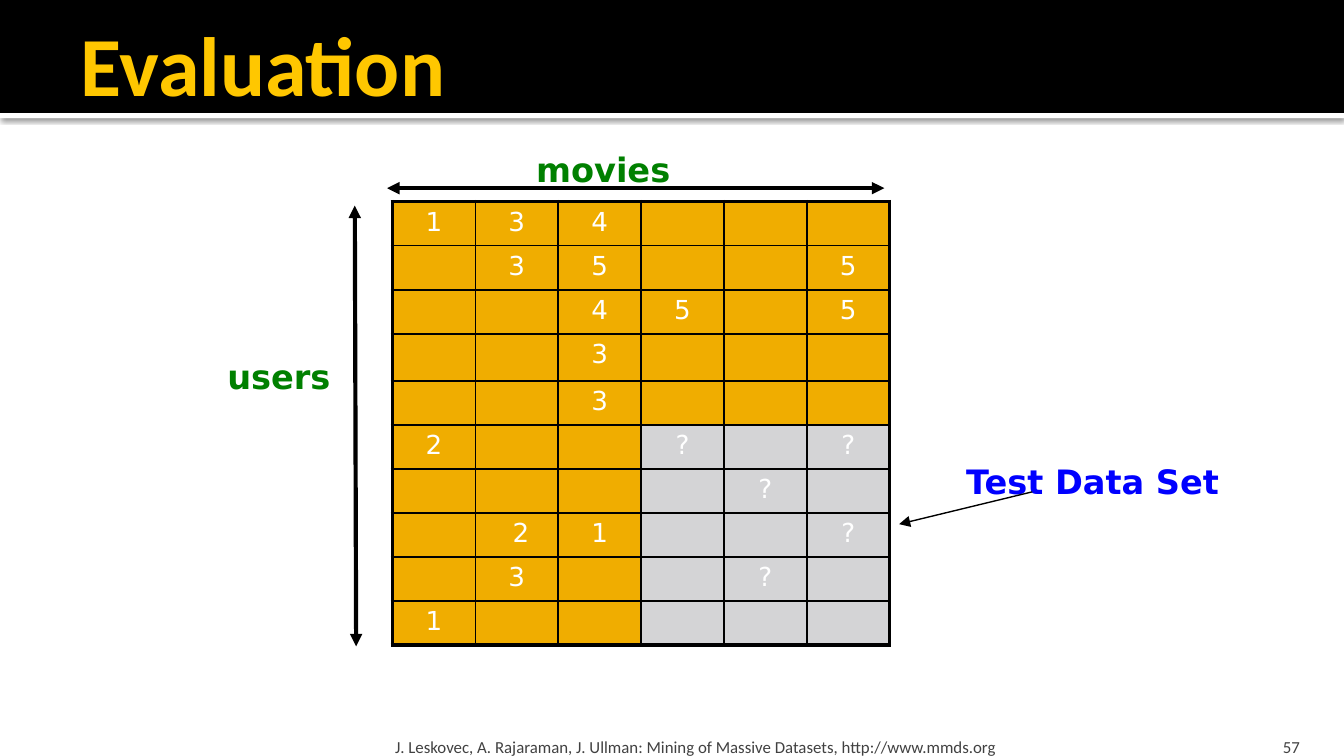
from dataclasses import dataclass

from lxml.etree import SubElement
from pptx import Presentation
from pptx.dml.color import RGBColor
from pptx.enum.shapes import MSO_CONNECTOR, MSO_SHAPE
from pptx.enum.text import MSO_ANCHOR as ANCHOR, MSO_AUTO_SIZE, PP_ALIGN as ALIGN
from pptx.oxml.ns import qn
from pptx.util import Inches, Pt


@dataclass(frozen=True)
class Theme:
    black: str = "000000"
    white: str = "FFFFFF"
    title: str = "FFC700"
    known: str = "F0AD00"
    test: str = "D4D4D6"
    axis: str = "008000"
    note: str = "0000FF"
    footer: str = "414141"
    title_font: str = "Calibri"
    body_font: str = "DejaVu Sans"
    title_size: float = 45
    label_size: float = 18
    cell_size: float = 14
    footer_size: float = 9
    thick: float = 2.25
    thin: float = 1
    hairline: float = 0.75


T = Theme()

RATINGS = [
    ["1", "3", "4", "", "", ""],
    ["", "3", "5", "", "", "5"],
    ["", "", "4", "5", "", "5"],
    ["", "", "3", "", "", ""],
    ["", "", "3", "", "", ""],
    ["2", "", "", "?", "", "?"],
    ["", "", "", "", "?", ""],
    ["", " 2", "1", "", "", "?"],
    ["", "3", "", "", "?", ""],
    ["1", "", "", "", "", ""],
]
TEST_ROW, TEST_COL = 5, 3
TALL_ROW = 3


def rgb(color):
    return RGBColor.from_string(color)


def write(tf, text, size, color, font=T.body_font, bold=False, align=ALIGN.LEFT):
    p = tf.paragraphs[0]
    p.alignment = align
    r = p.add_run()
    r.text = text
    r.font.size = Pt(size)
    r.font.name = font
    r.font.bold = bold
    r.font.color.rgb = rgb(color)


def set_frame(tf, margins, anchor):
    tf.word_wrap = True
    tf.auto_size = MSO_AUTO_SIZE.NONE
    tf.vertical_anchor = anchor
    tf.margin_left, tf.margin_top, tf.margin_right, tf.margin_bottom = map(Inches, margins)


def add_text(s, box, text, size, color, margins=(0.1, 0.05, 0.1, 0.05),
             anchor=ANCHOR.TOP, **style):
    sp = s.shapes.add_textbox(*map(Inches, box))
    set_frame(sp.text_frame, margins, anchor)
    write(sp.text_frame, text, size, color, **style)


def add_bar(s, top, height, color):
    sp = s.shapes.add_shape(MSO_SHAPE.RECTANGLE, 0, Inches(top), Inches(10), Inches(height))
    sp.fill.solid()
    sp.fill.fore_color.rgb = rgb(color)
    sp.line.fill.background()
    sp.shadow.inherit = False
    return sp


def add_shadow(sp):
    effects = sp._element.spPr.find(qn("a:effectLst"))
    shadow = SubElement(effects, qn("a:outerShdw"), blurRad=str(Pt(2.5)),
                        dist=str(Pt(0.8)), dir="5400000", rotWithShape="0")
    color = SubElement(shadow, qn("a:srgbClr"), val=T.black)
    SubElement(color, qn("a:alpha"), val="60000")


def add_title(s, text):
    title = s.shapes.title
    title.left, title.top, title.width, title.height = map(Inches, (0.5, 0.12, 9, 0.69))
    set_frame(title.text_frame, (0.1, 0.05, 0.05, 0.05), ANCHOR.MIDDLE)
    write(title.text_frame, text, T.title_size, T.title, font=T.title_font, bold=True)
    s.shapes._spTree.append(title._element)


def add_arrow(s, start, end, width, both=True):
    line = s.shapes.add_connector(MSO_CONNECTOR.STRAIGHT, *map(Inches, start + end))
    line.line.color.rgb = rgb(T.black)
    line.line.width = Pt(width)
    ln = line.line._get_or_add_ln()
    for tag in ("a:headEnd", "a:tailEnd") if both else ("a:tailEnd",):
        SubElement(ln, qn(tag), type="triangle")
    SubElement(line._element.spPr, qn("a:effectLst"))


def set_borders(cell, outer):
    tc_pr = cell._tc.get_or_add_tcPr()
    for side in "LRTB":
        width = T.thick if side in outer else T.thin
        ln = SubElement(tc_pr, qn(f"a:ln{side}"), w=str(Pt(width)))
        fill = SubElement(ln, qn("a:solidFill"))
        SubElement(fill, qn("a:srgbClr"), val=T.black)


def fill_cell(cell, text, color, outer):
    set_borders(cell, outer)
    cell.fill.solid()
    cell.fill.fore_color.rgb = rgb(color)
    cell.margin_left = cell.margin_right = Inches(0.1)
    cell.margin_top = cell.margin_bottom = Inches(0.04)
    if text:
        write(cell.text_frame, text, T.cell_size, T.white, align=ALIGN.CENTER)
    else:
        p = cell.text_frame.paragraphs[0]
        SubElement(p._p, qn("a:endParaRPr"), sz=str(T.cell_size * 100))


def add_ratings(s):
    rows, cols = len(RATINGS), len(RATINGS[0])
    frame = s.shapes.add_table(rows, cols, *map(Inches, (2.92, 1.5, 3.7, 3.28)))
    table = frame.table
    table.first_row = table.horz_banding = False
    table.rows[TALL_ROW].height = Inches(0.35)
    for i, ratings in enumerate(RATINGS):
        for j, rating in enumerate(ratings):
            edges = {"L": j == 0, "R": j == cols - 1, "T": i == 0, "B": i == rows - 1}
            outer = [side for side, is_outer in edges.items() if is_outer]
            is_test = i >= TEST_ROW and j >= TEST_COL
            fill_cell(table.cell(i, j), rating, T.test if is_test else T.known, outer)


def add_footer(s):
    add_text(s, (2.89, 5.4, 6.02, 0.23),
             "J. Leskovec, A. Rajaraman, J. Ullman: Mining of Massive Datasets, http://www.mmds.org",
             T.footer_size, T.footer, (0.05, 0.05, 0.05, 0), ANCHOR.BOTTOM, font=T.title_font)
    add_text(s, (8.97, 5.4, 0.8, 0.23), "57", T.footer_size, T.footer,
             (0.1, 0.05, 0.1, 0), ANCHOR.BOTTOM, font=T.title_font, align=ALIGN.RIGHT)


def main():
    prs = Presentation()
    prs.slide_width = Inches(10)
    prs.slide_height = prs.slide_width * 9 // 16
    s = prs.slides.add_slide(prs.slide_layouts[5])
    add_shadow(add_bar(s, 0.84, 0.04, T.white))
    add_bar(s, 0, 0.84, T.black)
    add_title(s, "Evaluation")
    add_ratings(s)
    add_text(s, (7.09, 3.38, 2.1, 0.3), "Test Data Set", T.label_size, T.note, bold=True)
    add_text(s, (1.1, 2.6, 1.95, 0.3), "users", T.label_size, T.axis,
             bold=True, align=ALIGN.CENTER)
    add_arrow(s, (2.64, 1.53), (2.65, 4.81), T.thick)
    add_arrow(s, (2.88, 1.4), (6.58, 1.4), T.thick)
    add_arrow(s, (7.68, 3.66), (6.69, 3.9), T.hairline, both=False)
    add_text(s, (3.89, 1.06, 1.21, 0.3), "movies", T.label_size, T.axis, bold=True)
    add_footer(s)
    prs.save("out.pptx")


if __name__ == "__main__":
    main()
